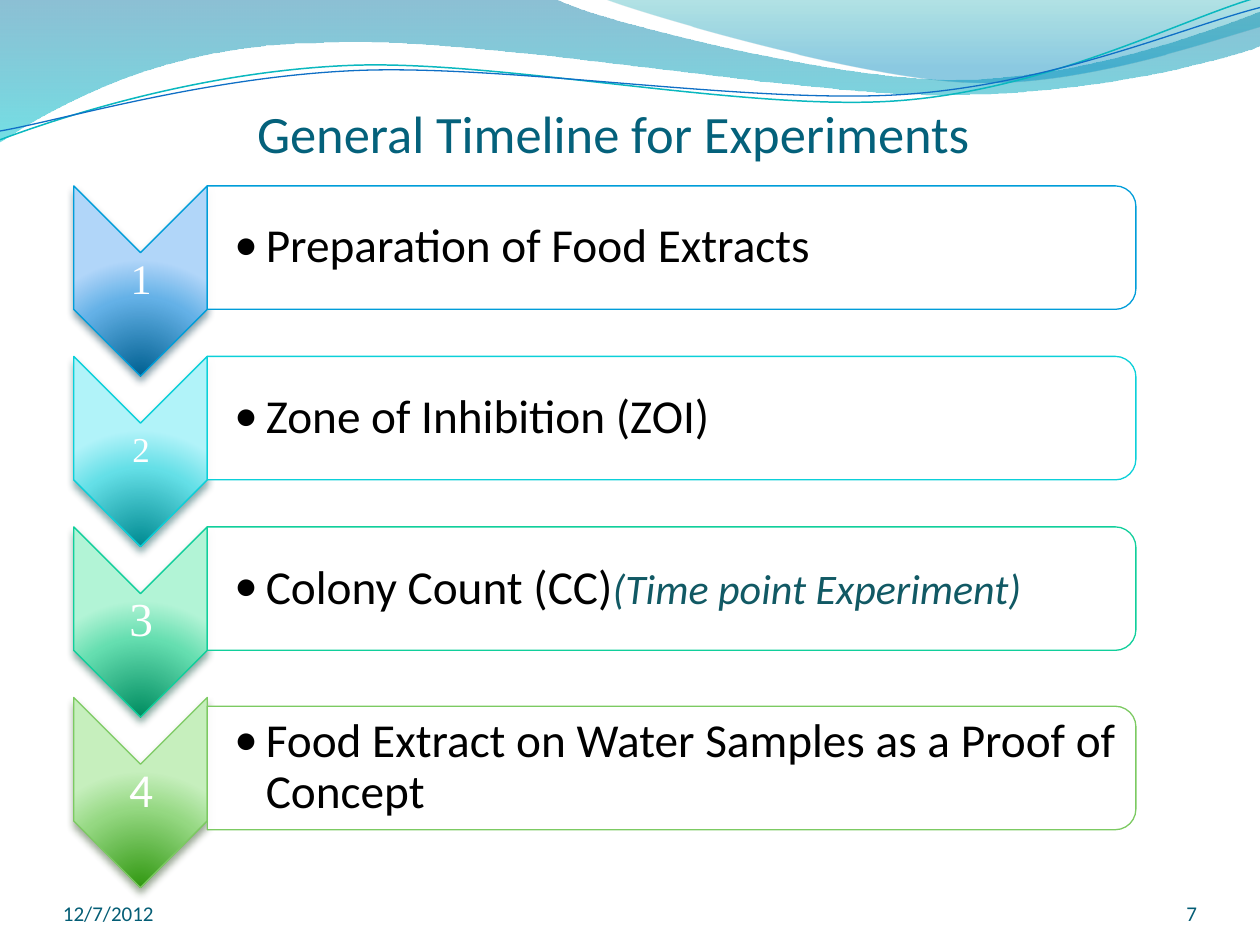
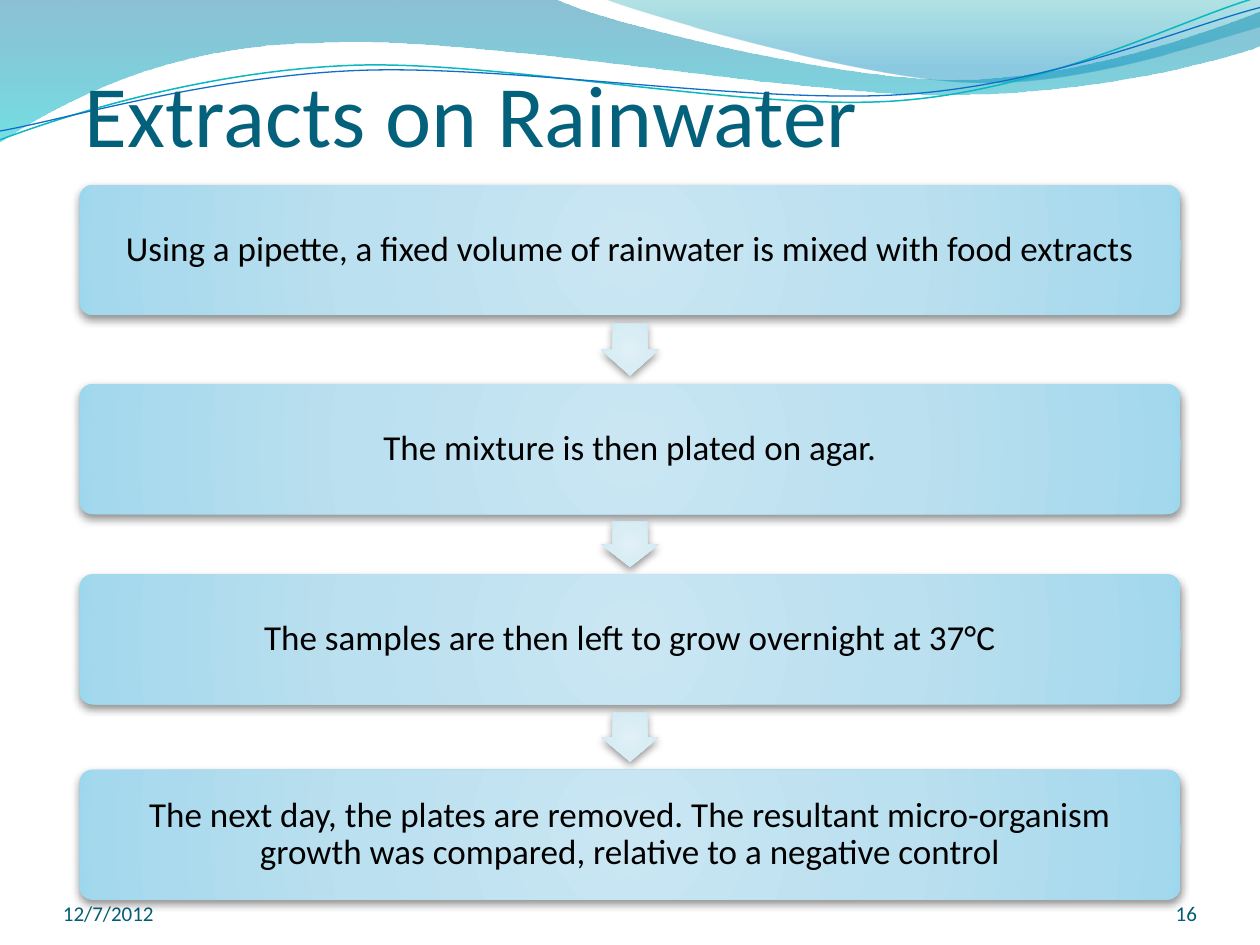
from lxml.etree import SubElement
from pptx import Presentation
from pptx.dml.color import RGBColor
from pptx.enum.shapes import MSO_SHAPE
from pptx.enum.text import MSO_ANCHOR, PP_ALIGN
from pptx.oxml import parse_xml
from pptx.oxml.ns import nsdecls, qn
from pptx.util import Inches, Pt

COLORS = {
    "title": "04617B", "footer": "045D75", "note": "115964",
    "black": "000000", "white": "FFFFFF",
    "wave_teal": "0AB8BF", "wave_blue": "0F6FC6",
}
# Gradients: (position %, colour, opacity %)
BAND_LEFT = [(0, "0074A1", 45), (100, "00C6CF", 55)]
BAND_RIGHT = [(0, "00A1A9", 30), (80, "008BBF", 45)]
BOX_FILL = [(0, "C9E6F2", 100), (50, "BBE0EF", 100), (97, "A4D8ED", 100), (100, "9BD7EE", 100)]
ARROW_FILL = [(0, "E0F0F7", 100), (50, "D9EDF5", 100), (97, "CEE8F3", 100), (100, "C9E7F4", 100)]

prs = Presentation()
prs.slide_width, prs.slide_height = Inches(10), Inches(7.5)
CELL = prs.slide_width // 10  # grid of 10 columns by 7.5 rows


def paint(sp, stops=None, focus=None, line=None, width=0.75, shadow=None):
    """Gradient (linear down, or circular around focus), outline and shadow."""
    sp.fill.background()
    if stops:
        grad = parse_xml(f'<a:gradFill rotWithShape="1" {nsdecls("a")}/>')
        gs_list = SubElement(grad, qn("a:gsLst"))
        for pos, color, opacity in stops:
            gs = SubElement(gs_list, qn("a:gs"), pos=str(pos * 1000))
            clr = SubElement(gs, qn("a:srgbClr"), val=color)
            if opacity < 100:
                SubElement(clr, qn("a:alpha"), val=str(opacity * 1000))
        if focus:
            path = SubElement(grad, qn("a:path"), path="circle")
            SubElement(path, qn("a:fillToRect"),
                       {side: str(v * 1000) for side, v in zip("ltrb", focus)})
        else:
            SubElement(grad, qn("a:lin"), ang="5400000", scaled="0")
        spPr = sp._element.spPr
        spPr.replace(spPr.find(qn("a:noFill")), grad)
    if line:
        sp.line.color.rgb = RGBColor.from_string(line)
        sp.line.width = Pt(width)
    else:
        sp.line.fill.background()
    sp.shadow.inherit = False
    if shadow:
        color, opacity, blur, dist = shadow
        outer = SubElement(sp._element.spPr.find(qn("a:effectLst")), qn("a:outerShdw"),
                           blurRad=str(Pt(blur)), dist=str(Pt(dist)),
                           dir="5400000", rotWithShape="0")
        clr = SubElement(outer, qn("a:srgbClr"), val=color)
        SubElement(clr, qn("a:alpha"), val=str(opacity * 1000))


def add(s, kind, box, text=None, size=12, color="black", font="Calibri",
        align=PP_ALIGN.LEFT, anchor=MSO_ANCHOR.MIDDLE, insets=(0, 0, 0, 0), spacing=1.0):
    """Preset shape, or a text box when kind is None, placed in grid cells."""
    place = [round(v * CELL) for v in box]
    sp = s.shapes.add_shape(kind, *place) if kind else s.shapes.add_textbox(*place)
    if text:
        tf = sp.text_frame
        tf.word_wrap = True
        tf.vertical_anchor = anchor
        tf.margin_left, tf.margin_top, tf.margin_right, tf.margin_bottom = map(Inches, insets)
        p = tf.paragraphs[0]
        p.add_run().text = text
        p.alignment, p.line_spacing = align, spacing
        p.font.size, p.font.name = Pt(size), font
        p.font.color.rgb = RGBColor.from_string(COLORS[color])
    return sp


# Top waves: a start point, then lines (2 numbers) and curves (6 numbers)
WAVES = [
    ([(0, -0.01), (4.4, -0.01), (4.76, 0.17, 6.64, 0.63, 7.58, 0.63),
      (8.53, 0.63, 9.58, 0.26, 10, 0.09), (10.01, 0.36),
      (9.83, 0.44, 8.7, 0.76, 7.46, 0.75), (6.22, 0.75, 3.82, 0.28, 2.57, 0.34),
      (1.29, 0.35, 0.46, 0.83, -0.01, 1.13)], {"stops": BAND_LEFT}),
    ([(4.79, -0.01), (5.09, 0.11, 6.82, 0.62, 7.69, 0.65),
      (8.56, 0.69, 9.61, 0.32, 10, 0.21), (10, 0)], {"stops": BAND_RIGHT}),
    ([(0, 1.11), (0.48, 0.93, 1.58, 0.57, 2.77, 0.52), (3.95, 0.47, 5.93, 0.89, 7.13, 0.8),
      (8.33, 0.71, 9.38, 0.15, 9.98, -0.02)], {"line": COLORS["wave_teal"], "width": 0.85}),
    ([(0, 1.04), (0.47, 0.96, 1.64, 0.61, 2.83, 0.56), (4.03, 0.51, 5.97, 0.83, 7.17, 0.75),
      (8.36, 0.67, 9.41, 0.21, 10, 0.06)], {"line": COLORS["wave_blue"]}),
]

# Title text, size and box, then the page number
PAGES = [
    ("General Timeline for Experiments", 30, (2.04, 0.05, 7.68, 1.25), "7"),
    ("Extracts on Rainwater", 50, (0.67, 0.33, 8.63, 0.98), "16"),
]

# Shared parts: waves, title, footer
slides = []
for title, size, box, number in PAGES:
    s = prs.slides.add_slide(prs.slide_layouts[6])
    slides.append(s)
    for segments, look in WAVES:
        ends = [(round(seg[-2] * CELL), round(seg[-1] * CELL)) for seg in segments]
        builder = s.shapes.build_freeform(*ends[0])
        builder.add_line_segments(ends[1:], close="stops" in look)
        sp = builder.convert_to_shape()
        # Bend the straight segments that have control points
        for seg, ln in zip(segments[1:], list(sp._element.iter(qn("a:lnTo")))):
            if len(seg) == 6:
                curve = parse_xml(f'<a:cubicBezTo {nsdecls("a")}/>')
                for x, y in zip(seg[::2], seg[1::2]):
                    SubElement(curve, qn("a:pt"), x=str(round(x * CELL) - sp.left),
                               y=str(round(y * CELL) - sp.top))
                ln.getparent().replace(ln, curve)
        paint(sp, **look)
    add(s, None, box, title, size, "title", anchor=MSO_ANCHOR.BOTTOM, insets=(0, 0.05, 0, 0))
    for left, width, text, align in ((0.5, 2.33, "12/7/2012", PP_ALIGN.LEFT),
                                     (8.67, 0.83, number, PP_ALIGN.RIGHT)):
        add(s, None, (left, 6.95, width, 0.4), text, 12, "footer",
            align=align, anchor=MSO_ANCHOR.BOTTOM)

# Slide 1: text, number size and font, outline, gradient colours, shadow, panel shift
TIMELINE = [
    ("Preparation of Food Extracts", 24, "Times New Roman", "009DD9",
     ("006091", "64B1E7", "B1D6F9"), "00374C", 0),
    ("Zone of Inhibition (ZOI)", 20, "Times New Roman", "0BD0D9",
     ("008A91", "64DFE7", "B1F3F9"), "024B4E", 0),
    ("Colony Count (CC)", 27, "Times New Roman", "10CF9B",
     ("008C60", "65DEB0", "B2F4D6"), "044A37", 0),
    ("Food Extract on Water Samples as a Proof of Concept", 27, "Calibri", "7CCA62",
     ("319811", "95D882", "C6EFBD"), "2B4821", 0.07),
]
s = slides[0]
PITCH = 4.06 / 3
for i, (text, size, font, line, tones, shade, shift) in enumerate(TIMELINE):
    y = i * PITCH
    sp = add(s, MSO_SHAPE.CHEVRON, (0.36, 1.7 + y, 1.51, 1.06))
    sp.rotation = 90
    paint(sp, [(pos, tone, 100) for pos, tone in zip((0, 68, 100), tones)],
          (50, 130, 50, -30), line, shadow=(shade, 48, 4.5, 3))
    add(s, None, (0.59, 2 + y, 1.06, 0.45), str(i + 1), size, "white", font,
        PP_ALIGN.CENTER, insets=(0.02,) * 4, spacing=0.9)

    y += shift
    sp = add(s, MSO_SHAPE.ROUND_2_SAME_RECTANGLE, (4.84, -1.72 + y, 0.98, 7.37))
    sp.rotation = 90
    paint(sp, line=line)
    sp.fill.solid()
    sp.fill.fore_color.rgb = RGBColor.from_string(COLORS["white"])
    SubElement(sp._element.spPr.find(qn("a:solidFill"))[0], qn("a:alpha"), val="90000")
    sp = add(s, None, (1.65, 1.52 + y, 7.32, 0.89), text, 27,
             insets=(0.21, 0.02, 0.02, 0.02), spacing=0.9)
    p = sp.text_frame.paragraphs[0]
    pPr = p._p.get_or_add_pPr()
    pPr.set("marL", str(Inches(0.25)))
    pPr.set("indent", str(-Inches(0.25)))
    for bullet in ('buFont {} typeface="Calibri"', 'buChar {} char="•"'):
        pPr.find(qn("a:defRPr")).addprevious(
            parse_xml(f'<a:{bullet.format(nsdecls("a"))}/>'))
    if i == 2:
        r = p.add_run()
        r.text = "(Time point Experiment)"
        r.font.size, r.font.italic = Pt(24), True
        r.font.color.rgb = RGBColor.from_string(COLORS["note"])

# Slide 2: process boxes, with an arrow in each gap
PROCESS = [
    (1.47, "Using a pipette, a fixed volume of rainwater is mixed with food extracts"),
    (3.05, "The mixture is then plated on agar."),
    (4.56, "The samples are then left to grow overnight at 37°C"),
    (6.11, "The next day, the plates are removed. The resultant micro-organism "
           "growth was compared, relative to a negative control"),
]
s = slides[1]
BOX_H, ARROW_W = 1.03, 0.46
CENTER = (50, 50, 50, 50)
SHADOW = (COLORS["black"], 43, 5, 2)
bottom = None
for top, text in PROCESS:
    if bottom:
        length, middle = 0.75 * (top - bottom), (top + bottom) / 2
        sp = add(s, MSO_SHAPE.RIGHT_ARROW,
                 (5 - length / 2, middle - ARROW_W / 2, length, ARROW_W))
        sp.rotation = 90
        sp.adjustments[0], sp.adjustments[1] = 0.6, 0.5
        paint(sp, ARROW_FILL, CENTER, shadow=SHADOW)
    sp = add(s, MSO_SHAPE.ROUNDED_RECTANGLE, (0.63, top, 8.74, BOX_H), text, 20,
             align=PP_ALIGN.CENTER, insets=(0.2, 0.08, 0.2, 0.08), spacing=0.9)
    sp.adjustments[0] = 0.1
    paint(sp, BOX_FILL, CENTER, shadow=SHADOW)
    bottom = top + BOX_H

prs.save("out.pptx")
